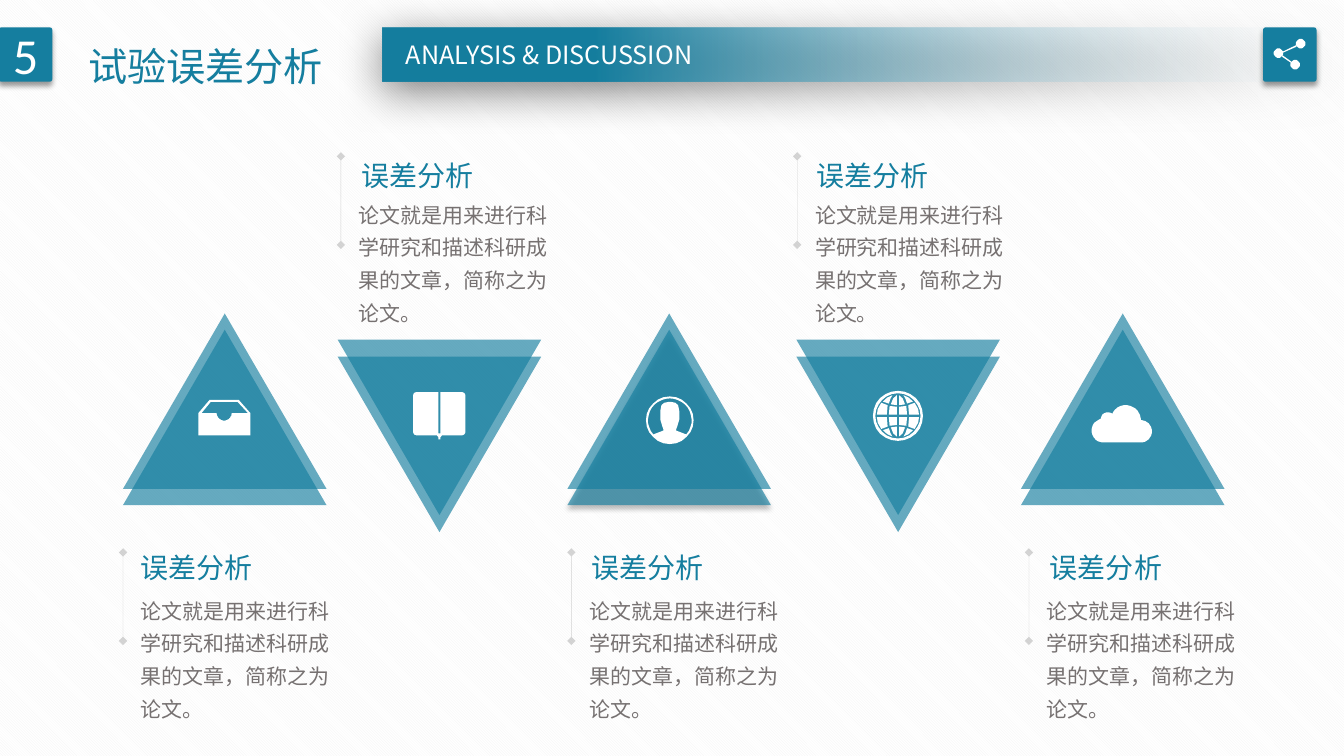
"""Build the error analysis slide with five triangle topics."""
from math import cos, radians, sin

from lxml.etree import SubElement
from pptx import Presentation
from pptx.dml.color import RGBColor
from pptx.enum.dml import MSO_PATTERN
from pptx.enum.shapes import MSO_CONNECTOR, MSO_SHAPE
from pptx.enum.text import MSO_ANCHOR, MSO_AUTO_SIZE, PP_ALIGN
from pptx.oxml.ns import qn
from pptx.util import Cm, Pt

TEAL = RGBColor(0x15, 0x7E, 0x9F)
PALE = RGBColor(0xF7, 0xFA, 0xFD)
WHITE = RGBColor(0xFF, 0xFF, 0xFF)
MIST = RGBColor(0xF2, 0xF2, 0xF2)
GRAY = RGBColor(0x80, 0x80, 0x80)
INK = RGBColor(0x76, 0x71, 0x71)
BLACK = RGBColor(0, 0, 0)
FONT = "Noto Sans CJK SC"
BODY = "论文就是用来进行科学研究和描述科研成果的文章，简称之为论文。"


def arc(x, y, size, start, end):
    """Return points along a circle, angles running clockwise."""
    turns = [radians(start + (end - start) * i / 24) for i in range(25)]
    return [(x + size * cos(t), y + size * sin(t)) for t in turns]


def style(shape, alpha=100, shade=None):
    """Fill a shape in teal without outline, with an optional shadow."""
    shape.fill.solid()
    shape.fill.fore_color.rgb = TEAL
    shape.line.fill.background()
    shape.shadow.inherit = False
    props = shape.element.spPr
    if alpha < 100:
        color = next(props.iter(qn("a:srgbClr")))
        SubElement(color, qn("a:alpha"), val=str(alpha * 1000))
    if shade:
        depth, blur, dist, angle = shade
        cast = SubElement(props.find(qn("a:effectLst")), qn("a:outerShdw"),
                          blurRad=str(Pt(blur)), dist=str(Pt(dist)),
                          dir=str(angle * 60000), algn="t", rotWithShape="0")
        color = SubElement(cast, qn("a:srgbClr"), val=str(BLACK))
        SubElement(color, qn("a:alpha"), val=str(depth * 1000))


deck = Presentation()
deck.slide_width, deck.slide_height = Cm(33.87), Cm(19.05)
slide = deck.slides.add_slide(deck.slide_layouts[6])
shapes = slide.shapes
back = slide.background.fill
back.patterned()
back.pattern = MSO_PATTERN.DARK_DOWNWARD_DIAGONAL
back.fore_color.rgb, back.back_color.rgb = MIST, WHITE

bar = shapes.add_shape(MSO_SHAPE.RECTANGLE, Cm(9.65), Cm(0.71), Cm(24.21), Cm(1.35))
style(bar, shade=(50, 31, 6, 97))
bar.fill.gradient()
bar.fill.gradient_angle = 180
for stop, color, place in zip(bar.fill.gradient_stops, (PALE, TEAL), (0, 0.78)):
    stop.color.rgb, stop.position = color, place
SubElement(next(bar.element.spPr.iter(qn("a:srgbClr"))), qn("a:alpha"), val="0")

SOFT = (40, 4, 3, 90)
for left, label in ((-0.03, "5"), (31.83, "")):
    badge = shapes.add_shape(MSO_SHAPE.ROUNDED_RECTANGLE, Cm(left), Cm(0.69), Cm(1.35), Cm(1.37))
    badge.adjustments[0] = 0.05
    style(badge, shade=SOFT)
    if label:
        frame = badge.text_frame
        frame.text = label
        frame.vertical_anchor = MSO_ANCHOR.MIDDLE
        frame.paragraphs[0].alignment = PP_ALIGN.CENTER
        font = frame.paragraphs[0].runs[0].font
        font.size, font.name, font.color.rgb = Pt(36), "Calibri", WHITE

texts = [
    ("ANALYSIS & DISCUSSION", 9.65, 0.86, 8.38, 1.02, 18, WHITE, 1),
    (" 试验误差分析", 1.75, 0.36, 6.76, 1.85, 28, TEAL, 1.5),
]
topics = [
    (3.1, 3.1, 3.3, False),
    (8.51, 8.59, 8.86, True),
    (14.3, 14.4, 14.66, False),
    (20.07, 20.09, 20.32, True),
    (25.73, 25.93, 26.21, False),
]
for i, (left, rule, head, down) in enumerate(topics):
    for top in (8.56, 8.99) if down else (8.31, 7.9):
        peak = shapes.add_shape(MSO_SHAPE.ISOSCELES_TRIANGLE, Cm(left), Cm(top), Cm(5.13), Cm(4.42))
        style(peak, 65, SOFT if i == 2 and top == 8.31 else None)
        if down:
            peak.element.spPr.xfrm.set("flipV", "1")
    top = 3.94 if down else 13.92
    line = shapes.add_connector(MSO_CONNECTOR.STRAIGHT, Cm(rule), Cm(top), Cm(rule), Cm(top + 2.23))
    line.line.width = Pt(0.25)
    line.line.color.rgb = GRAY
    props = line.element.spPr
    SubElement(next(props.iter(qn("a:srgbClr"))), qn("a:alpha"), val="33000")
    for end in ("a:headEnd", "a:tailEnd"):
        SubElement(props.find(qn("a:ln")), qn(end), type="diamond")
    SubElement(props, qn("a:effectLst"))
    texts.append(("误差分析", head, top - 0.32 if down else top - 0.43, 3.35, 1.27, 20, TEAL, 1.3))
    texts.append((BODY, rule + 0.2, top + 0.84, 5.28, 3.56, 15, INK, 1.3))

for words, left, top, width, height, size, color, space in texts:
    box = shapes.add_textbox(Cm(left), Cm(top), Cm(width), Cm(height))
    frame = box.text_frame
    frame.text = words
    frame.word_wrap = words == BODY
    frame.auto_size = MSO_AUTO_SIZE.SHAPE_TO_FIT_TEXT
    para = frame.paragraphs[0]
    para.line_spacing = space
    if color == WHITE:
        para.alignment = PP_ALIGN.CENTER
    run = para.runs[0]
    run.font.size, run.font.color.rgb, run.font.name = Pt(size), color, FONT
    SubElement(run.font._element, qn("a:ea"), typeface=FONT)

share = [arc(x, y, 12, 0, 360) for x, y in ((3278, 110), (3222, 134), (3264, 163))]
share += [
    [(3266, 114), (3233, 130), (3233, 133), (3267, 118)],
    [(3233, 140), (3254, 155), (3253, 158), (3231, 143)],
]
tray = [
    [(602, 1008), (528, 1008), (500, 1041), (500, 1097), (631, 1097), (631, 1041)],
    [(531, 1013), (599, 1013), (625, 1041), *arc(565, 1041, 19, 0, 180), (508, 1041)],
]
book = [[
    *arc(1051, 998, 10, 180, 270), (1105, 988), (1105, 1092), (1110, 1092), (1110, 988),
    *arc(1163, 998, 10, 270, 360), *arc(1163, 1087, 10, 0, 90),
    (1114, 1097), (1110, 1102), (1110, 1107), (1105, 1107), (1105, 1102), (1101, 1097),
    *arc(1051, 1087, 10, 90, 180),
]]
side = [(1730, 1095), (1704, 1085), (1704, 1082), (1707, 1074), (1709, 1067), (1712, 1057),
        (1712, 1036), (1709, 1021), (1702, 1015), (1692, 1013)]
person = [
    arc(1688, 1059, 60, 0, 360),
    side + [(3376 - x, y) for x, y in reversed(side)] + arc(1688, 1059, 55, 140, 400),
]
cells = [
    [(21, 25), (3, 23), (3, 3), (23, 3)],
    [(3, 52), (3, 27), (18, 29), (12, 44)],
    [(38, 36), (27, 46), (14, 52), (19, 43), (23, 31)],
    [(28, 3), (53, 3), (51, 17), (42, 33), (26, 27)],
]
globe = [arc(2263, 1048, size, 0, 360) for size in (63, 57)]
globe += [[(2263 + h * x, 1048 + v * y) for x, y in cell]
          for h in (-1, 1) for v in (-1, 1) for cell in cells]
cloud = [[
    *arc(2781, 1085, 30, 90, 255), *arc(2792, 1057, 18, 180, 300),
    *arc(2837, 1059, 38, 205, 360), *arc(2875, 1087, 28, 270, 450),
]]
for icon in (share, tray, book, person, globe, cloud):
    pen = shapes.build_freeform(*icon[0][0], scale=Cm(0.01))
    for i, loop in enumerate(icon):
        if i:
            pen.move_to(*loop[0])
        pen.add_line_segments(loop[1:], close=True)
    mark = pen.convert_to_shape()
    style(mark)
    mark.fill.fore_color.rgb = WHITE

deck.save("out.pptx")
